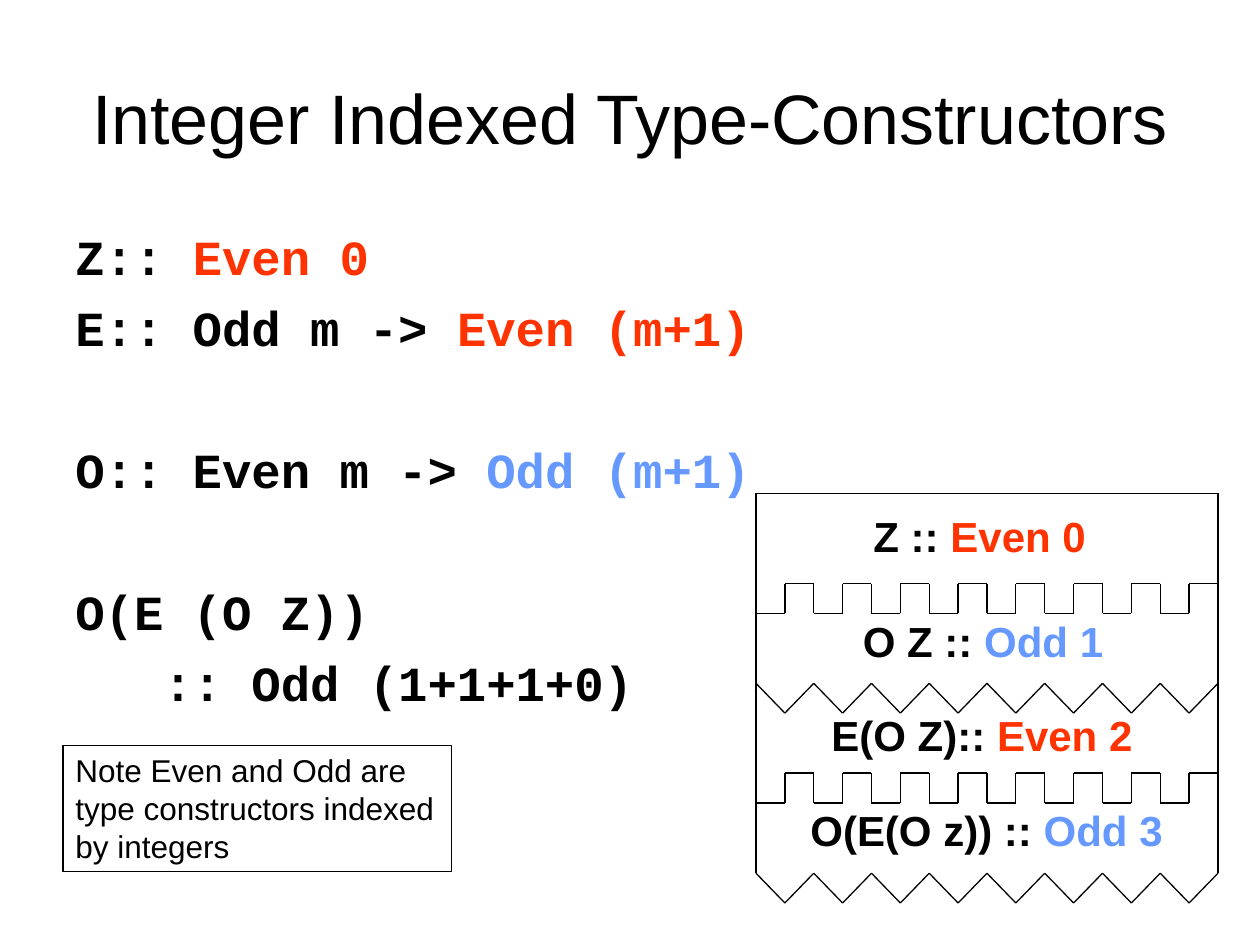
from itertools import pairwise

from lxml import etree
from pptx import Presentation
from pptx.dml.color import RGBColor
from pptx.enum import shapes, text
from pptx.util import Pt

BLACK, RED, BLUE = "000000", "FF3300", "6699FF"
NS = "http://schemas.openxmlformats.org/drawingml/2006/main"
DEPTH = 17


def rgb(code):
    return RGBColor.from_string(code)


def place(shape, box):
    for name, size in zip(("left", "top", "width", "height"), box):
        setattr(shape, name, Pt(size))


def write(shape, lines, font, size, bold=False, anchor="TOP", align="LEFT"):
    """Fill the shape with lines, each a list of (words, colour) runs."""
    frame = shape.text_frame
    look = {
        "word_wrap": True,
        "auto_size": text.MSO_AUTO_SIZE.NONE,
        "vertical_anchor": getattr(text.MSO_ANCHOR, anchor),
        "margin_left": Pt(7.2), "margin_right": Pt(7.2),
        "margin_top": Pt(3.6), "margin_bottom": Pt(3.6),
    }
    for name, value in look.items():
        setattr(frame, name, value)
    for i, runs in enumerate(lines):
        para = frame.add_paragraph() if i else frame.paragraphs[0]
        para.alignment = getattr(text.PP_ALIGN, align)
        for words, tint in runs:
            run = para.add_run()
            run.text = words
            for name, value in {"name": font, "size": Pt(size), "bold": bold}.items():
                setattr(run.font, name, value)
            run.font.color.rgb = rgb(tint)
    return frame.paragraphs


def stroke(shape):
    shape.line.color.rgb = rgb(BLACK)
    shape.line.width = Pt(0.75)


def title(slide, box):
    head = slide.shapes.title
    place(head, box)
    write(head, [[("Integer Indexed Type-Constructors", BLACK)]],
          "Arial", 40, anchor="MIDDLE", align="CENTER")


def code(slide, box):
    lines = [
        [("Z:: ", BLACK), ("Even 0", RED)],
        [("E:: Odd m -> ", BLACK), ("Even (m+1)", RED)],
        [("O:: Even m -> ", BLACK), ("Odd (m+1)", BLUE)],
        [("O(E (O Z))", BLACK)],
        [("   :: Odd (1+1+1+0)", BLACK)],
    ]
    area = slide.shapes.add_textbox(*map(Pt, box))
    paras = write(area, lines, "Courier New", 28, bold=True)
    for para, gap in zip(paras, (0, 7, 47.5, 47.5, 7)):
        para.line_spacing = Pt(33.6)
        para.space_before = Pt(gap)


def note(slide, box):
    card = slide.shapes.add_shape(shapes.MSO_SHAPE.RECTANGLE, *map(Pt, box))
    card.shadow.inherit = False
    card.fill.background()
    stroke(card)
    words = "Note Even and Odd are type constructors indexed by integers"
    for para in write(card, [[(words, BLACK)]], "Arial", 18):
        para.line_spacing = Pt(21.5)


def trace(group, *spots):
    """Join the spots with straight lines."""
    for start, end in pairwise(spots):
        link = group.shapes.add_connector(
            shapes.MSO_CONNECTOR.STRAIGHT, *map(Pt, start + end))
        stroke(link)
        etree.SubElement(link._element.spPr, f"{{{NS}}}effectLst")


def edge(group, left, top, step, square, count=16):
    """Draw a toothed edge, either square or pointed."""
    spots = []
    for i in range(count + 1):
        x = left + i * step
        if square:
            levels = (DEPTH, 0) if i % 2 else (0, DEPTH)
            spots += [(x, top + y) for y in levels]
        else:
            spots.append((x, top + i % 2 * DEPTH))
    trace(group, *spots[1 if square else 0:])


def puzzle(slide, box):
    """Stack four pieces whose toothed edges fit each other."""
    left, top, width, height = box
    right = left + width
    group = slide.shapes.add_group_shape()
    trace(group, (left, top), (right, top))
    pieces = [  # edge, label left, top and width, term, type, colour
        (51.5, 60, 6, 143, "Z :: ", "Even 0", RED),
        (108.5, 54, 66, 167, "O Z :: ", "Odd 1", BLUE),
        (159.8, 36, 120, 204, "E(O Z):: ", "Even 2", RED),
        (height, 24, 174, 222, "O(E(O z)) :: ", "Odd 3", BLUE),
    ]
    start = top
    for i, (cut, x, y, wide, term, kind, tint) in enumerate(pieces):
        square = i % 2 == 0
        end = top + cut
        low = end + DEPTH if square else end
        trace(group, (left, low), (left, start))
        trace(group, (right, end), (right, start))
        edge(group, left, end, width / 16, square)
        label = group.shapes.add_textbox(*map(Pt, (left + x, top + y, wide, 36)))
        write(label, [[(term, BLACK), (kind, tint)]], "Arial", 24, bold=True)
        start = low


def main():
    deck = Presentation()
    deck.slide_width, deck.slide_height = Pt(720), Pt(540)
    slide = deck.slides.add_slide(deck.slide_layouts[5])
    title(slide, (36, 21.6, 648, 90))
    code(slide, (36, 126, 648, 356))
    puzzle(slide, (432, 282, 264, 217))
    note(slide, (36, 426, 222, 72))
    deck.save("out.pptx")


if __name__ == "__main__":
    main()
